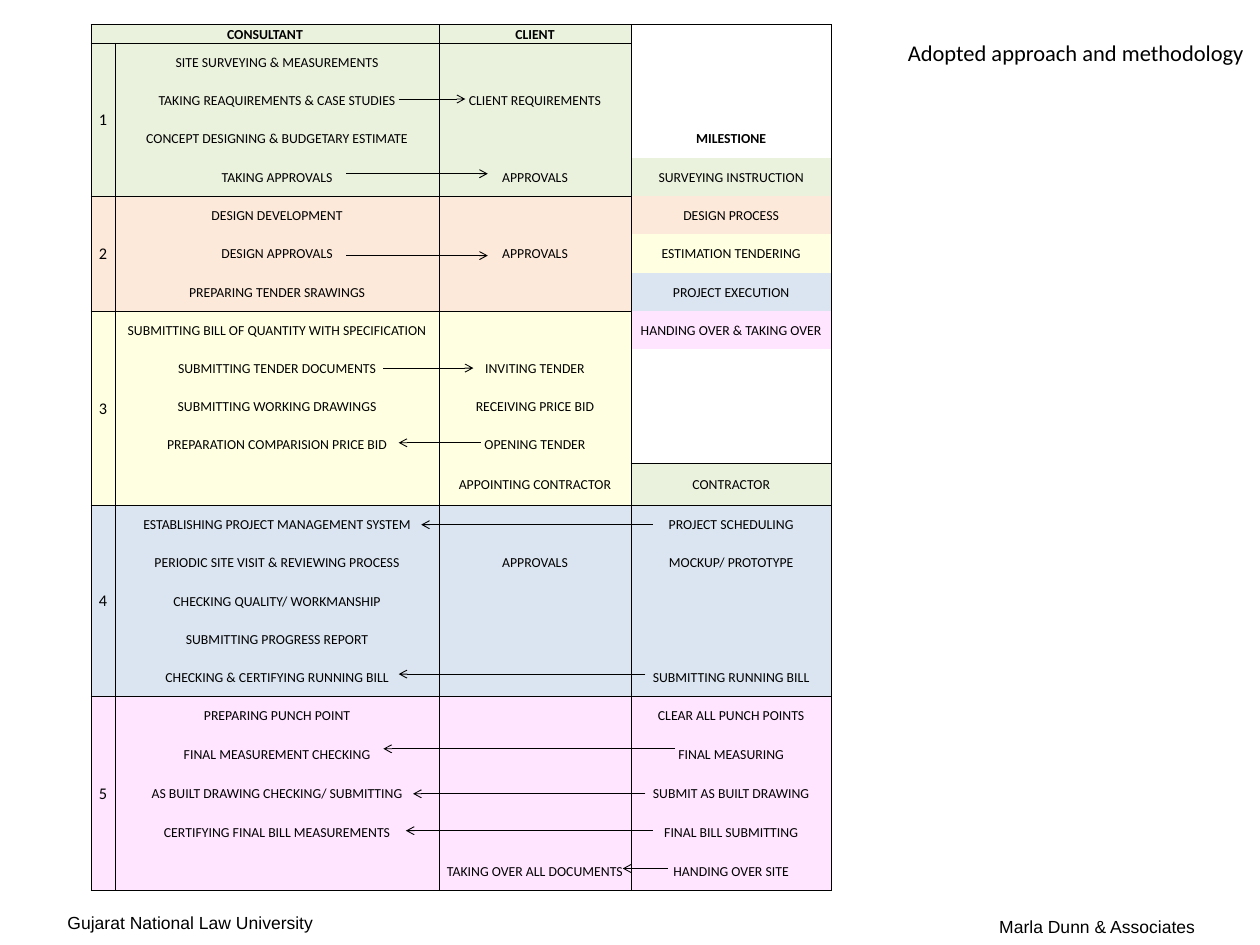
from dataclasses import dataclass

from lxml import etree
from pptx import Presentation
from pptx.dml.color import RGBColor
from pptx.enum.shapes import MSO_CONNECTOR
from pptx.enum.text import MSO_ANCHOR, PP_ALIGN
from pptx.oxml.ns import qn
from pptx.util import Inches, Pt

LEFT, CENTER, RIGHT = PP_ALIGN.LEFT, PP_ALIGN.CENTER, PP_ALIGN.RIGHT
MIDDLE, BOTTOM = MSO_ANCHOR.MIDDLE, MSO_ANCHOR.BOTTOM
STRAIGHT = MSO_CONNECTOR.STRAIGHT


@dataclass(frozen=True)
class Theme:
    ink: str = "000000"
    green: str = "EAF1DD"
    peach: str = "FDE9D9"
    cream: str = "FFFFE1"
    blue: str = "DBE5F1"
    pink: str = "FFE5FF"
    body: str = "Calibri"
    foot: str = "Arial"
    small: int = 11
    digit: int = 13
    note: int = 14
    title: int = 18
    rule: float = 0.5
    arrow: float = 0.75


T = Theme()
COLS = (0.27, 3.6, 2.13, 2.23)
HEAD = 0.21

# Each stage: colour, row heights, (consultant, client) rows
STAGES = [
    (T.green, [1.7 / 4] * 4, [
        ("SITE SURVEYING & MEASUREMENTS", ""),
        ("TAKING REAQUIREMENTS & CASE STUDIES", "CLIENT REQUIREMENTS"),
        ("CONCEPT DESIGNING & BUDGETARY ESTIMATE", ""),
        ("TAKING APPROVALS", "APPROVALS")]),
    (T.peach, [1.28 / 3] * 3, [
        ("DESIGN DEVELOPMENT", ""),
        ("DESIGN APPROVALS", "APPROVALS"),
        ("PREPARING TENDER SRAWINGS", "")]),
    (T.cream, [1.69 / 4] * 4 + [0.47], [
        ("SUBMITTING BILL OF QUANTITY WITH SPECIFICATION", ""),
        ("SUBMITTING TENDER DOCUMENTS", "INVITING TENDER"),
        ("SUBMITTING WORKING DRAWINGS", "RECEIVING PRICE BID"),
        ("PREPARATION COMPARISION PRICE BID", "OPENING TENDER"),
        ("", "APPOINTING CONTRACTOR")]),
    (T.blue, [2.12 / 5] * 5, [
        ("ESTABLISHING PROJECT MANAGEMENT SYSTEM", ""),
        ("PERIODIC SITE VISIT & REVIEWING PROCESS", "APPROVALS"),
        ("CHECKING QUALITY/ WORKMANSHIP", ""),
        ("SUBMITTING PROGRESS REPORT", ""),
        ("CHECKING & CERTIFYING RUNNING BILL", "")]),
    (T.pink, [2.16 / 5] * 5, [
        ("PREPARING PUNCH POINT", ""),
        ("FINAL MEASUREMENT CHECKING", ""),
        ("AS BUILT DRAWING CHECKING/ SUBMITTING", ""),
        ("CERTIFYING FINAL BILL MEASUREMENTS", ""),
        ("", "TAKING OVER ALL DOCUMENTS")]),
]

# Right column, by table row: text and colour
MILES = {
    3: ("MILESTIONE", None),
    4: ("SURVEYING INSTRUCTION", T.green),
    5: ("DESIGN PROCESS", T.peach),
    6: ("ESTIMATION TENDERING", T.cream),
    7: ("PROJECT EXECUTION", T.blue),
    8: ("HANDING OVER & TAKING OVER", T.pink),
    12: ("CONTRACTOR", T.green),
    13: ("PROJECT SCHEDULING", T.blue),
    14: ("MOCKUP/ PROTOTYPE", T.blue),
    15: ("", T.blue),
    16: ("", T.blue),
    17: ("SUBMITTING RUNNING BILL", T.blue),
    18: ("CLEAR ALL PUNCH POINTS", T.pink),
    19: ("FINAL MEASURING", T.pink),
    20: ("SUBMIT AS BUILT DRAWING", T.pink),
    21: ("FINAL BILL SUBMITTING", T.pink),
    22: ("HANDING OVER SITE", T.pink),
}
TOPS, ENDS = (0, 12, 13, 18), (11, 12, 17, 22)

# Arrows relative to the table: start x, end x, y
ARROWS = [
    (3.42, 4.16, 0.83), (2.84, 4.41, 1.66), (2.84, 4.41, 2.57),
    (3.25, 4.25, 3.82), (4.33, 3.42, 4.65), (6.24, 3.67, 5.56),
    (6.16, 3.42, 7.22), (6.49, 3.25, 8.05), (6.16, 3.58, 8.55),
    (6.24, 3.5, 8.96), (6.41, 5.91, 9.38),
]


def style(par, size, face, align, bold=False):
    par.alignment = align
    font = par.font
    font.size, font.name, font.bold = Pt(size), face, bold
    font.color.rgb = RGBColor.from_string(T.ink)


def edge(cell, sides):
    props = cell._tc.get_or_add_tcPr()
    for side in "LRTB":
        line = etree.SubElement(props, qn("a:ln" + side), w=str(Pt(T.rule)))
        if side in sides:
            fill = etree.SubElement(line, qn("a:solidFill"))
            etree.SubElement(fill, qn("a:srgbClr"), val=T.ink)
        else:
            etree.SubElement(line, qn("a:noFill"))


def put(cell, text, color, sides, size=T.small, bold=False, anchor=MIDDLE):
    edge(cell, sides)
    if color:
        cell.fill.solid()
        cell.fill.fore_color.rgb = RGBColor.from_string(color)
    else:
        cell.fill.background()
    cell.margin_left = cell.margin_right = cell.margin_top = Inches(0.01)
    cell.margin_bottom = 0
    cell.vertical_anchor = anchor
    cell.text = text
    style(cell.text_frame.paragraphs[0], size, T.body, CENTER, bold)


def sides(first, last):
    return "LR" + "T" * first + "B" * last


def chart(slide, x, y):
    """Stage table with its hand-over arrows."""
    highs = [HEAD] + [h for _, hs, _ in STAGES for h in hs]
    grid = slide.shapes.add_table(
        len(highs), len(COLS), Inches(x), Inches(y),
        Inches(sum(COLS)), Inches(sum(highs))).table
    grid.first_row = grid.horz_banding = False
    for col, wide in zip(grid.columns, COLS):
        col.width = Inches(wide)
    for row, high in zip(grid.rows, highs):
        row.height = Inches(high)

    # Header
    for c, text in enumerate(("CONSULTANT", "", "CLIENT")):
        put(grid.cell(0, c), text, T.green, "LRTB", bold=True, anchor=BOTTOM)
    grid.cell(0, 0).merge(grid.cell(0, 1))

    # Stages
    top = 1
    for num, (color, _, rows) in enumerate(STAGES, 1):
        end = top + len(rows) - 1
        for r, pair in enumerate(rows, top):
            lines = sides(r == top, r == end)
            first = r == top
            put(grid.cell(r, 0), str(num) if first else "", color,
                "LRTB" if first else lines, T.digit)
            for c, text in enumerate(pair, 1):
                put(grid.cell(r, c), text, color, lines)
        grid.cell(top, 0).merge(grid.cell(end, 0))
        top = end + 1

    # Milestones and contractor
    for r in range(len(highs)):
        text, color = MILES.get(r, ("", None))
        put(grid.cell(r, 3), text, color, sides(r in TOPS, r in ENDS), bold=r == 3)

    for start, stop, down in ARROWS:
        arrow(slide, x + start, x + stop, y + down)


def arrow(slide, start, stop, y):
    link = slide.shapes.add_connector(
        STRAIGHT, Inches(start), Inches(y), Inches(stop), Inches(y))
    link.line.width = Pt(T.arrow)
    link.line.color.rgb = RGBColor.from_string(T.ink)
    etree.SubElement(link.line._get_or_add_ln(), qn("a:tailEnd"), type="arrow")
    etree.SubElement(link._element.spPr, qn("a:effectLst"))


def label(slide, box, text, size, face, align, pad):
    frame = slide.shapes.add_textbox(*map(Inches, box)).text_frame
    frame.word_wrap = True
    frame.margin_left = frame.margin_right = Inches(pad)
    frame.margin_top = frame.margin_bottom = Inches(pad / 2)
    frame.text = text
    style(frame.paragraphs[0], size, face, align)


def main():
    deck = Presentation()
    deck.slide_width, deck.slide_height = Inches(14), Inches(10.5)
    slide = deck.slides.add_slide(deck.slide_layouts[6])
    label(slide, (9.24, 10.15, 4.1, 0.3), "Marla Dunn & Associates",
          T.note, T.foot, RIGHT, 0.06)
    label(slide, (0.69, 10.1, 4.1, 0.3), "Gujarat National Law University",
          T.note, T.foot, LEFT, 0.06)
    label(slide, (9.9, 0.39, 4, 0.38), "Adopted approach and methodology",
          T.title, T.body, RIGHT, 0.08)
    chart(slide, 1.01, 0.27)
    deck.save("out.pptx")


if __name__ == "__main__":
    main()
